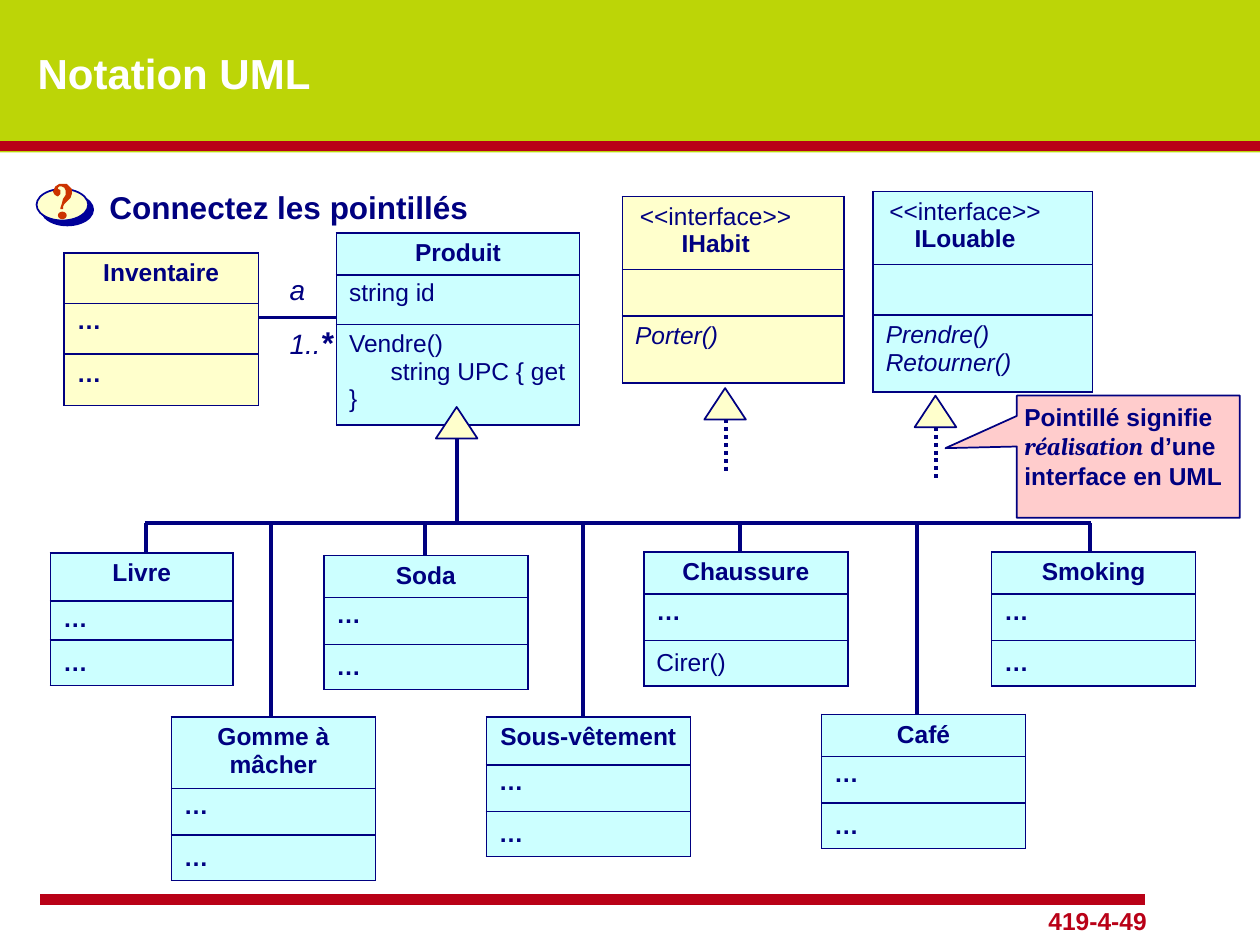
from lxml.etree import SubElement
from pptx import Presentation
from pptx.dml.color import RGBColor
from pptx.enum.dml import MSO_LINE
from pptx.enum.shapes import MSO_CONNECTOR, MSO_SHAPE
from pptx.enum.text import MSO_ANCHOR, PP_ALIGN
from pptx.oxml.ns import qn
from pptx.util import Inches, Pt

COLORS = {
    "green": "BCD507", "red": "B90117", "white": "FFFFFF", "black": "000000",
    "navy": "000080", "shadow": "000099", "cyan": "CCFFFF", "yellow": "FFFFCC",
    "pink": "FFCCCC", "orange": "CC3300",
}
HOOK = [
    (8, 20), (6, 20), (6, 19), (7, 16), (8, 12), (10, 9), (10, 5), (9, 3),
    (7, 2), (5, 2), (4, 3), (4, 4), (6, 5), (6, 8), (5, 9), (4, 10), (2, 9),
    (1, 8), (0, 6), (1, 4), (2, 2), (5, 0), (8, 0), (11, 0), (13, 2), (15, 4),
    (15, 8), (14, 11), (12, 13), (9, 16), (8, 18), (8, 20),
]
ELLIPSIS = ["…", "…"]
SMALL_ROWS = [0.33, 0.37, 0.36]
SUBCLASSES = [
    (0.4, 4.39, 1.45, [0.38, 0.31, 0.36], "Livre", ELLIPSIS),
    (2.57, 4.41, 1.62, SMALL_ROWS, "Soda", ELLIPSIS),
    (5.11, 4.38, 1.62, SMALL_ROWS, "Chaussure", ["…", "Cirer()"]),
    (7.87, 4.38, 1.62, SMALL_ROWS, "Smoking", ELLIPSIS),
    (1.36, 5.69, 1.62, [0.56, 0.37, 0.36], "Gomme à mâcher", ELLIPSIS),
    (3.86, 5.69, 1.62, [0.38, 0.37, 0.36], "Sous-vêtement", ELLIPSIS),
    (6.52, 5.67, 1.62, SMALL_ROWS, "Café", ELLIPSIS),
]
BRANCHES = [(1.16, 4.56), (3.37, 4.59), (5.87, 4.57), (8.65, 4.56),
            (2.15, 5.72), (4.63, 5.75), (7.28, 5.73)]


def rgb(name):
    return RGBColor.from_string(COLORS[name])


def set_font(font, size, color="navy", bold=False, italic=False, name="Arial"):
    font.name, font.size, font.bold, font.italic = name, Pt(size), bold, italic
    font.color.rgb = rgb(color)


def add_shadow(parent, color, dist):
    sh = SubElement(parent, qn("a:outerShdw"), dist=str(Pt(dist)), dir="2700000", algn="ctr")
    SubElement(sh, qn("a:srgbClr"), val=COLORS[color])


def add_line(s, x1, y1, x2, y2, color="navy", width=2.25, dash=None):
    ln = s.shapes.add_connector(MSO_CONNECTOR.STRAIGHT, *map(Inches, (x1, y1, x2, y2)))
    ln.line.color.rgb, ln.line.width = rgb(color), Pt(width)
    if dash:
        ln.line.dash_style = dash
    SubElement(ln._element.spPr, qn("a:effectLst"))


def paint(sp, fill, line=None):
    sp.fill.solid()
    sp.fill.fore_color.rgb = rgb(fill)
    if line:
        sp.line.color.rgb, sp.line.width = rgb(line), Pt(1)
    else:
        sp.line.fill.background()
    sp.shadow.inherit = False


def add_preset(shapes, kind, x, y, w, h, fill, line=None):
    sp = shapes.add_shape(kind, *map(Inches, (x, y, w, h)))
    paint(sp, fill, line)
    return sp


def add_text(s, x, y, w, h):
    tf = s.shapes.add_textbox(*map(Inches, (x, y, w, h))).text_frame
    tf.word_wrap = True
    return tf


def style_cell(cell, fill):
    tc_pr = cell._tc.get_or_add_tcPr()
    for side in ("lnL", "lnR", "lnT", "lnB"):
        ln = SubElement(tc_pr, qn("a:" + side), w=str(Pt(1)))
        SubElement(SubElement(ln, qn("a:solidFill")), qn("a:srgbClr"), val=COLORS["navy"])
    cell.fill.solid()
    cell.fill.fore_color.rgb = rgb(fill)


def add_class(s, x, y, w, heights, name, parts, fill="cyan", interface=False, last_spacing=1.0):
    frame = s.shapes.add_table(3, 1, *map(Inches, (x, y, w, sum(heights))))
    table = frame.table
    table.first_row = table.horz_banding = False
    title = "<<interface>>\n" + name if interface else name
    for i, text in enumerate([title, *parts]):
        table.rows[i].height = Inches(heights[i])
        cell = table.cell(i, 0)
        style_cell(cell, fill)
        cell.text_frame.text = text
        for p in cell.text_frame.paragraphs:
            set_font(p.font, 14, bold=i == 0 or text == "…", italic=interface and i > 0)
            p.line_spacing = (1.0, 0.9, last_spacing)[i]
            if i == 0:
                p.alignment = PP_ALIGN.CENTER
    if interface:
        p = table.cell(0, 0).text_frame.paragraphs[0]
        p.font.bold = False
        p._p.get_or_add_pPr().set("marR", str(Inches(0.28)))
    return table


def add_frame(s):
    add_preset(s.shapes, MSO_SHAPE.RECTANGLE, 0, 1.21, 10, 6.29, "white")
    p = add_text(s, 7.62, 7.14, 1.58, 0.33).paragraphs[0]
    p.text, p.alignment = "419-4-49", PP_ALIGN.RIGHT
    set_font(p.font, 14, "red", bold=True)
    add_line(s, 0.32, 7.14, 9.09, 7.14, "red", 6)
    add_line(s, 0, 1.16, 10, 1.16, "red", 6)


def add_title(s, x, y, w, h):
    tf = add_text(s, x, y, w, h)
    tf.vertical_anchor = MSO_ANCHOR.MIDDLE
    r = tf.paragraphs[0].add_run()
    r.text = "Notation UML"
    set_font(r.font, 24, "white", bold=True)
    effects = r._r.get_or_add_rPr().makeelement(qn("a:effectLst"), {})
    r._r.get_or_add_rPr().find(qn("a:solidFill")).addnext(effects)
    add_shadow(effects, "black", 3)


def add_question(s, x, y):
    shapes = s.shapes.add_group_shape().shapes
    oval = add_preset(shapes, MSO_SHAPE.OVAL, x, y + 0.04, 0.41, 0.25, "yellow", "shadow")
    add_shadow(oval._element.spPr.find(qn("a:effectLst")), "shadow", 4)
    add_preset(shapes, MSO_SHAPE.OVAL, x + 0.17, y + 0.22, 0.07, 0.06, "orange")
    add_preset(shapes, MSO_SHAPE.OVAL, x + 0.15, y + 0.01, 0.1, 0.1, "yellow")
    pts = [(Inches(x + 0.13 + a / 100), Inches(y + b / 100)) for a, b in HOOK]
    fb = shapes.build_freeform(*pts[0])
    fb.add_line_segments(pts[1:])
    paint(fb.convert_to_shape(), "orange")


def add_heading(s, x, y):
    p = add_text(s, x + 0.46, y, 8.94, 0.4).paragraphs[0]
    p.text = "Connectez les pointillés"
    set_font(p.font, 18, bold=True)
    add_question(s, x - 0.02, y + 0.02)


def add_association(s, x, y):
    add_line(s, x, y + 0.41, x + 0.7, y + 0.41)
    tf = add_text(s, x + 0.15, y, 0.76, 0.82)
    p = tf.paragraphs[0]
    p.text = "a"
    set_font(p.font, 16, italic=True)
    p = tf.add_paragraph()
    p.space_before = Pt(10)
    for text, size, bold in (("1..", 16, False), ("*", 18, True)):
        r = p.add_run()
        r.text = text
        set_font(r.font, size, bold=bold, italic=True)


def add_arrow(s, x, y, length, dash=None):
    add_line(s, x, y + 0.25, x, y + 0.25 + length, dash=dash)
    add_preset(s.shapes, MSO_SHAPE.ISOSCELES_TRIANGLE, x - 0.17, y, 0.33, 0.25, "yellow", "navy")


def add_tree(s, top):
    add_line(s, 1.15, top, 8.66, top)
    for x, bottom in BRANCHES:
        add_line(s, x, top, x, bottom)
    for spec_row in SUBCLASSES:
        add_class(s, *spec_row, last_spacing=1.1)


def add_callout(s, x, y, w, h):
    sp = add_preset(s.shapes, MSO_SHAPE.RECTANGULAR_CALLOUT, x, y, w, h, "pink", "navy")
    sp.adjustments[0], sp.adjustments[1] = -0.82, -0.07
    tf = sp.text_frame
    tf.word_wrap, tf.vertical_anchor = True, MSO_ANCHOR.TOP
    tf.margin_left = tf.margin_right = Inches(0.06)
    p = tf.paragraphs[0]
    p.alignment = PP_ALIGN.LEFT
    for text, name in (("Pointillé signifie ", "Arial"), ("réalisation", "Cambria"),
                       (" d’une interface en UML", "Arial")):
        r = p.add_run()
        r.text = text
        set_font(r.font, 14, bold=True, italic=name == "Cambria", name=name)


def main():
    prs = Presentation()
    prs.slide_width, prs.slide_height = Inches(10), Inches(7.5)
    s = prs.slides.add_slide(prs.slide_layouts[6])
    s.background.fill.solid()
    s.background.fill.fore_color.rgb = rgb("green")
    add_frame(s)
    add_title(s, 0.2, 0.18, 8.52, 0.79)
    add_heading(s, 0.31, 1.44)
    add_association(s, 2.05, 2.11)
    add_class(s, 0.51, 2.01, 1.54, [0.4, 0.4, 0.41], "Inventaire", ELLIPSIS, "yellow")
    product = add_class(s, 2.67, 1.85, 1.93, [0.33, 0.39, 0.8], "Produit",
                        ["string id", "Vendre()\nstring UPC { get }"])
    p = product.cell(2, 0).text_frame.paragraphs[1]
    p._p.get_or_add_pPr().set("indent", str(Inches(0.33)))
    add_class(s, 4.94, 1.56, 1.76, [0.58, 0.37, 0.53], "IHabit", ["", "Porter()"],
              "yellow", interface=True)
    add_class(s, 6.93, 1.52, 1.74, [0.58, 0.4, 0.61], "ILouable",
              ["", "Prendre() Retourner()"], interface=True)
    add_tree(s, 4.15)
    add_arrow(s, 3.63, 3.23, 0.67)
    add_arrow(s, 5.76, 3.08, 0.42, MSO_LINE.ROUND_DOT)
    add_arrow(s, 7.43, 3.14, 0.42, MSO_LINE.ROUND_DOT)
    add_callout(s, 8.07, 3.14, 1.77, 0.97)
    prs.save("out.pptx")


if __name__ == "__main__":
    main()
